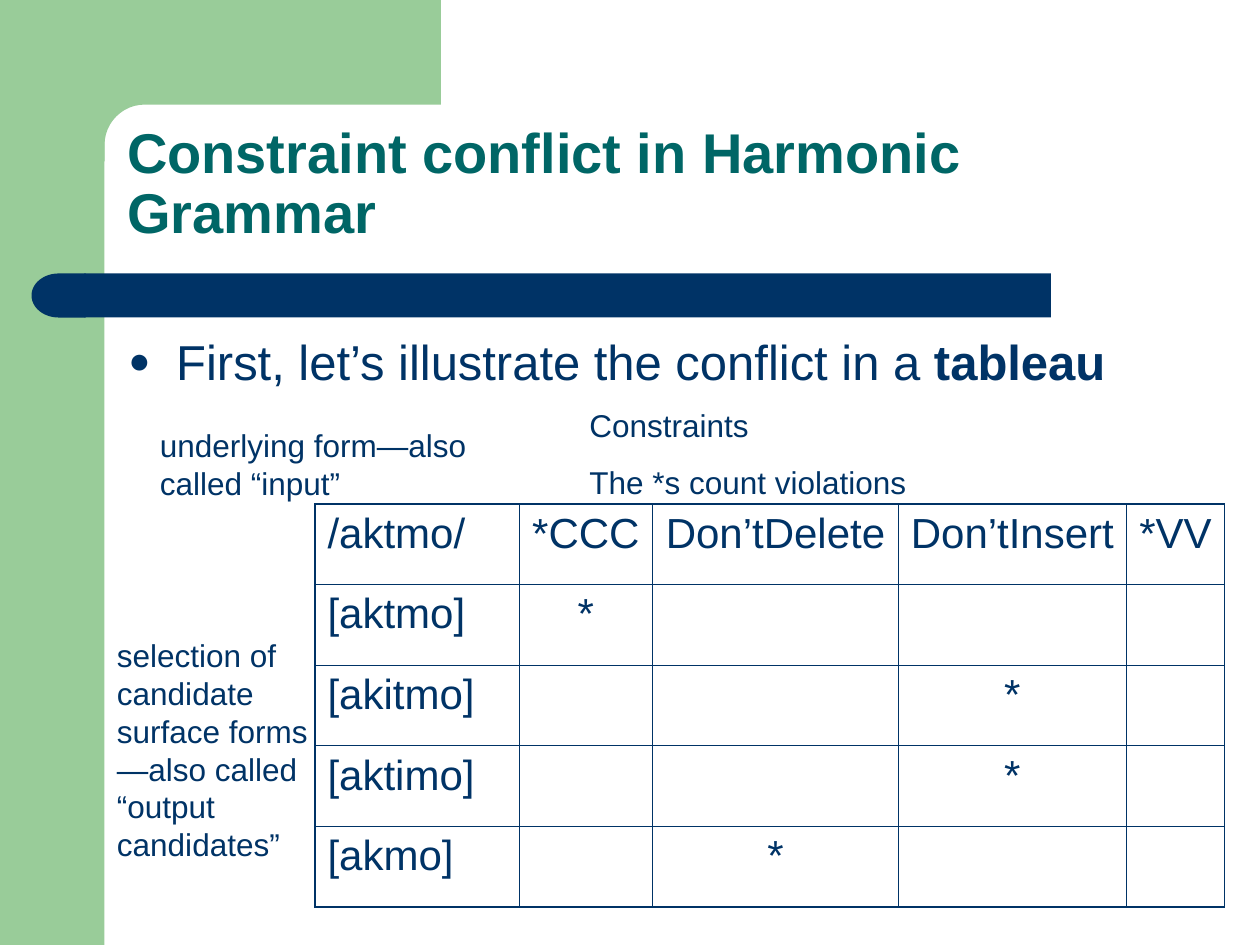
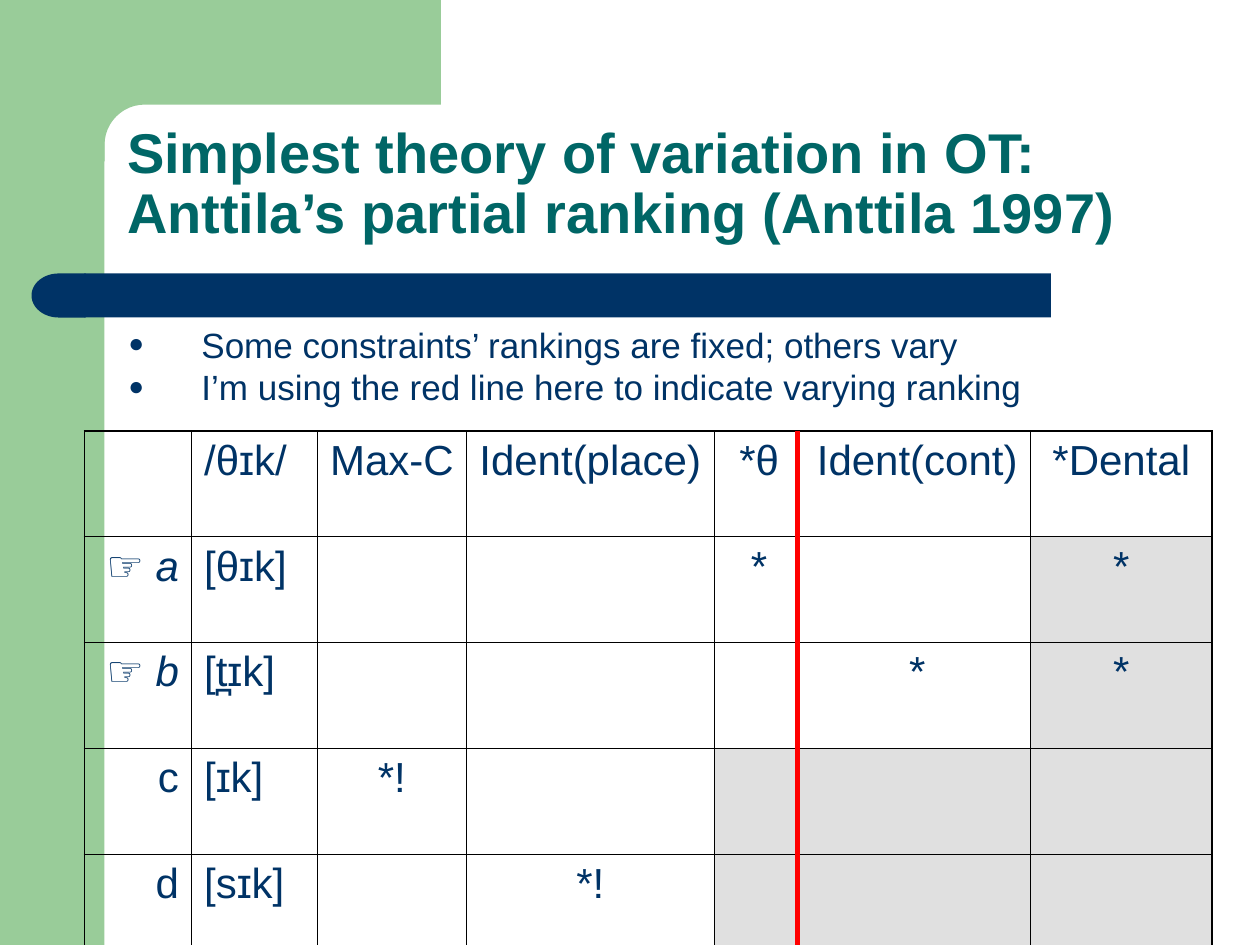
from math import cos, pi, sin

from lxml import etree
from pptx import Presentation
from pptx.dml.color import RGBColor
from pptx.enum.shapes import MSO_CONNECTOR, MSO_SHAPE
from pptx.enum.text import MSO_ANCHOR, PP_ALIGN
from pptx.oxml.ns import qn
from pptx.util import Inches, Pt

RECT = MSO_SHAPE.RECTANGLE
DELAY = MSO_SHAPE.FLOWCHART_DELAY
LINE = MSO_CONNECTOR.STRAIGHT
TOP, BOTTOM = MSO_ANCHOR.TOP, MSO_ANCHOR.BOTTOM
ALIGN = {"l": PP_ALIGN.LEFT, "c": PP_ALIGN.CENTER, "r": PP_ALIGN.RIGHT}

FONT = "Arial"
GREEN, NAVY, TEAL = "99CC99", "003366", "006666"
BLACK, GREY, RED = "000000", "E0E0E0", "FF0000"


def color(value):
    return RGBColor.from_string(value)


def paint(shape, tint):
    shape.shadow.inherit = False
    shape.fill.solid()
    shape.fill.fore_color.rgb = color(tint)
    shape.line.fill.background()


def block(slide, kind, box, tint):
    shape = slide.shapes.add_shape(kind, *map(Inches, box))
    paint(shape, tint)
    return shape


def write(para, text, size, tint=NAVY, bold=False, italic=False):
    """Fill a paragraph; bold and italic apply to the part after a bar."""
    for i, part in enumerate(text.split("|")):
        if not part:
            continue
        run = para.add_run()
        run.text = part
        font = run.font
        font.name, font.size = FONT, Pt(size)
        font.color.rgb = color(tint)
        font.bold, font.italic = bold and i > 0, italic and i > 0


def add_box(slide, box, lines, size, gap=0, anchor=TOP, leading=None,
            indent=None, tint=NAVY, bold=False):
    """Add a text box, bulleted when an indent is given."""
    frame = slide.shapes.add_textbox(*map(Inches, box)).text_frame
    frame.word_wrap = True
    frame.vertical_anchor = anchor
    for i, text in enumerate(lines):
        para = frame.paragraphs[0] if i == 0 else frame.add_paragraph()
        if i:
            para.space_before = Pt(gap)
        if leading:
            para.line_spacing = leading
        if indent:
            add_dot(para, indent)
        write(para, text, size, tint, bold)


def add_dot(para, indent):
    props = para._p.get_or_add_pPr()
    props.set("marL", str(Inches(indent)))
    props.set("indent", str(-Inches(indent)))
    tint = etree.SubElement(props, qn("a:buClr"))
    etree.SubElement(tint, qn("a:srgbClr"), val=NAVY)
    etree.SubElement(props, qn("a:buSzPct"), val="75000")
    etree.SubElement(props, qn("a:buFont"), typeface=FONT)
    etree.SubElement(props, qn("a:buChar"), char="●")


def add_edge(cell, side, width, tint):
    """Draw one cell border; a width of 0 hides it."""
    edge = etree.Element(qn("a:ln" + side), w=str(Pt(width)))
    if width:
        fill = etree.SubElement(edge, qn("a:solidFill"))
        etree.SubElement(fill, qn("a:srgbClr"), val=tint)
    else:
        etree.SubElement(edge, qn("a:noFill"))
    cell._tc.get_or_add_tcPr().append(edge)


def add_grid(slide, left, top, widths, height, rows, aligns, tint,
             cols_w, rows_w, shaded=()):
    """Add a table; cols_w and rows_w are the widths of its rules."""
    shape = slide.shapes.add_table(
        len(rows), len(widths), Inches(left), Inches(top),
        Inches(sum(widths)), Inches(height * len(rows)))
    table = shape.table
    table.first_row = table.horz_banding = False
    for col, width in zip(table.columns, widths):
        col.width = Inches(width)
    for r, texts in enumerate(rows):
        table.rows[r].height = Inches(height)
        for c, text in enumerate(texts):
            cell = table.cell(r, c)
            para = cell.text_frame.paragraphs[0]
            para.alignment = ALIGN[aligns[c]]
            if aligns[c] == "c":
                cell.margin_left = cell.margin_right = Inches(0.05)
            if text:
                write(para, text, 24, italic=True)
            for side, width in (("L", cols_w[c]), ("R", cols_w[c + 1]),
                                ("T", rows_w[r]), ("B", rows_w[r + 1])):
                add_edge(cell, side, width, tint)
            if (r, c) in shaded:
                cell.fill.solid()
                cell.fill.fore_color.rgb = color(GREY)
            else:
                cell.fill.background()


def add_corner(slide):
    """Draw the top green band with its rounded inner corner."""
    edge, base, rad = 0.83, 0.83, 0.32
    steps = 12
    turns = [pi / 2 * i / steps for i in range(steps + 1)]
    arc = [(edge + rad * (1 - sin(t)), base + rad * (1 - cos(t)))
           for t in turns]
    points = [(3.5, base), *arc, (edge, 1.28), (0.5, 1.28), (0.5, 0)]
    path = slide.shapes.build_freeform(Inches(3.5), 0, scale=1)
    path.add_line_segments([(Inches(x), Inches(y)) for x, y in points])
    paint(path.convert_to_shape(), GREEN)


def add_line(slide, start, end, tint, width):
    line = slide.shapes.add_connector(LINE, *map(Inches, start + end))
    line.line.color.rgb = color(tint)
    line.line.width = Pt(width)
    etree.SubElement(line._element.spPr, qn("a:effectLst"))


def add_page(deck, title):
    slide = deck.slides.add_slide(deck.slide_layouts[6])
    block(slide, RECT, (0, 0, 0.83, 7.5), GREEN)
    add_corner(slide)
    block(slide, RECT, (0.67, 2.17, 7.67, 0.35), NAVY)
    block(slide, DELAY, (0.25, 2.17, 0.43, 0.35), NAVY).rotation = 180
    add_box(slide, (0.91, 0.91, 8.51, 1.09), ["|" + title], 32,
            anchor=BOTTOM, leading=0.9, tint=TEAL, bold=True)
    return slide


def add_body(slide, lines, size, indent, **style):
    add_box(slide, (0.92, 2.58, 8.41, 0.75), lines, size, indent=indent,
            bold=True, **style)


def conflict(deck):
    slide = add_page(deck, "Constraint conflict in Harmonic Grammar")
    add_body(slide, ["First, let’s illustrate the conflict in a |tableau"],
             28, 0.38)
    rows = [
        ("/aktmo/", "*CCC", "Don’tDelete", "Don’tInsert", "*VV"),
        ("[aktmo]", "*", "", "", ""),
        ("[akitmo]", "", "", "*", ""),
        ("[aktimo]", "", "", "*", ""),
        ("[akmo]", "", "*", "", ""),
    ]
    rules = [1.08] + [0.45] * 4 + [1.08]
    add_grid(slide, 2.5, 4, (1.62, 1.06, 1.95, 1.81, 0.78), 0.64, rows,
             "lcccc", NAVY, rules, rules)
    labels = [
        ((1.17, 3.33, 2.92, 0.7), ["underlying form—also called “input”"]),
        ((0.83, 5, 1.92, 1.9), ["selection of candidate surface forms—also "
                                "called “output candidates”"]),
        ((4.58, 3.17, 5, 0.86), ["Constraints", "The *s count violations"]),
    ]
    for box, lines in labels:
        add_box(slide, box, lines, 18, gap=11.2)


def variation(deck):
    slide = add_page(deck, "Simplest theory of variation in OT: "
                           "Anttila’s partial ranking (Anttila 1997)")
    add_body(slide, ["Some constraints’ rankings are fixed; others vary",
                     "I’m using the red line here to indicate varying ranking"],
             20, 0.58, gap=5, leading=0.8)
    rows = [
        ("", "/θɪk/", "Max-C", "Ident(place)", "*θ", "Ident(cont)",
         "*Dental"),
        ("☞ |a", "[θɪk]", "", "", "*", "", "*"),
        ("☞ |b", "[t̪ɪk]", "", "", "", "*", "*"),
        ("c", "[ɪk]", "*!", "", "", "", ""),
        ("d", "[sɪk]", "", "*!", "", "", ""),
    ]
    shaded = [(1, 6), (2, 6)] + [(r, c) for r in (3, 4) for c in (4, 5, 6)]
    add_grid(slide, 0.67, 3.42, (0.85, 1, 1.18, 1.97, 0.71, 1.8, 1.44), 0.84,
             rows, "rlccccc", BLACK,
             (0.96, 0.34, 0.96, 0.45, 0.45, 0, 0.45, 0.96),
             (0.96, 0.96, 0.45, 0.45, 0.45, 0.45), shaded)
    add_line(slide, (6.33, 3.42), (6.33, 7.5), RED, 3)


def main():
    deck = Presentation()
    deck.slide_width, deck.slide_height = Inches(10), Inches(7.5)
    conflict(deck)
    variation(deck)
    deck.save("out.pptx")


if __name__ == "__main__":
    main()
